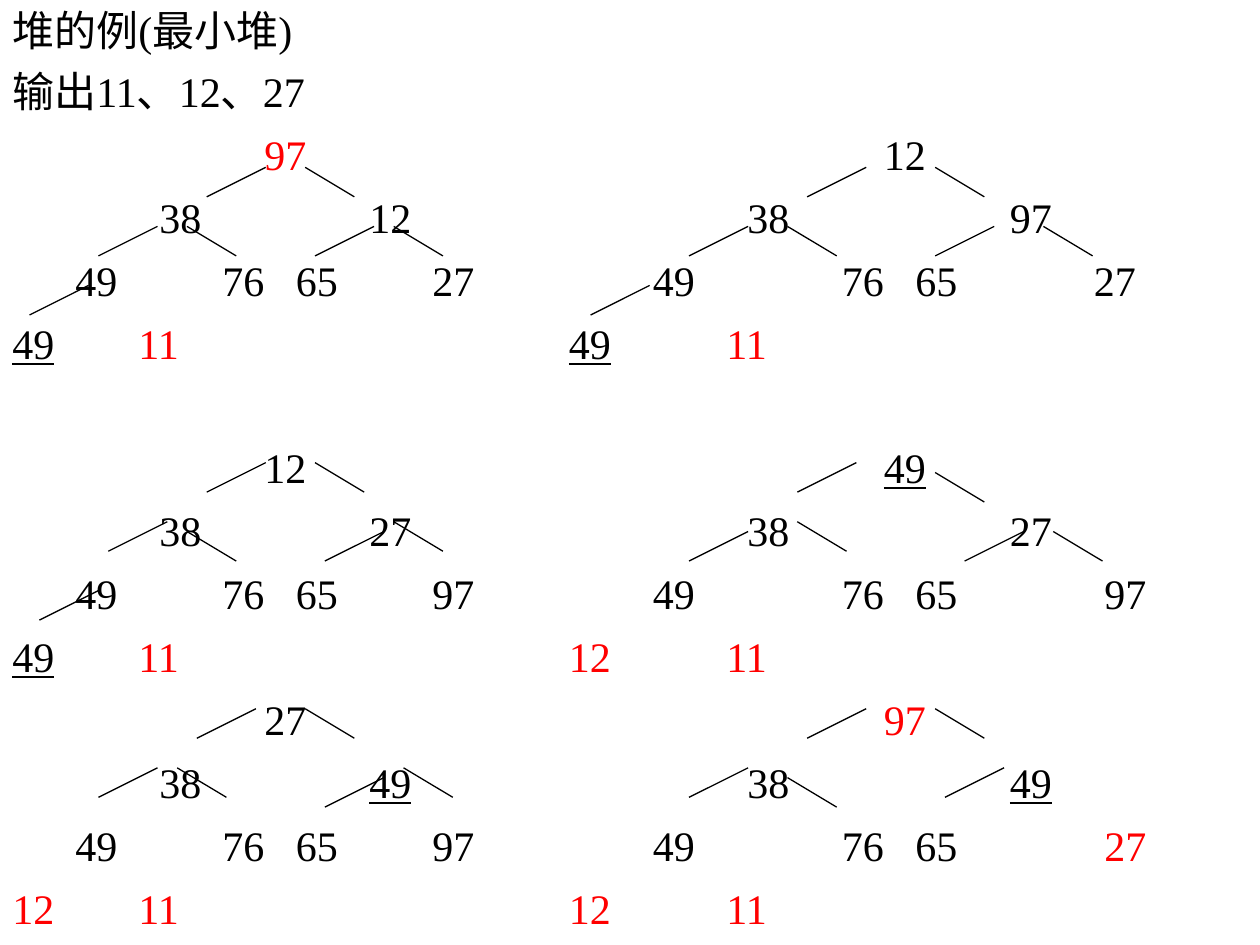
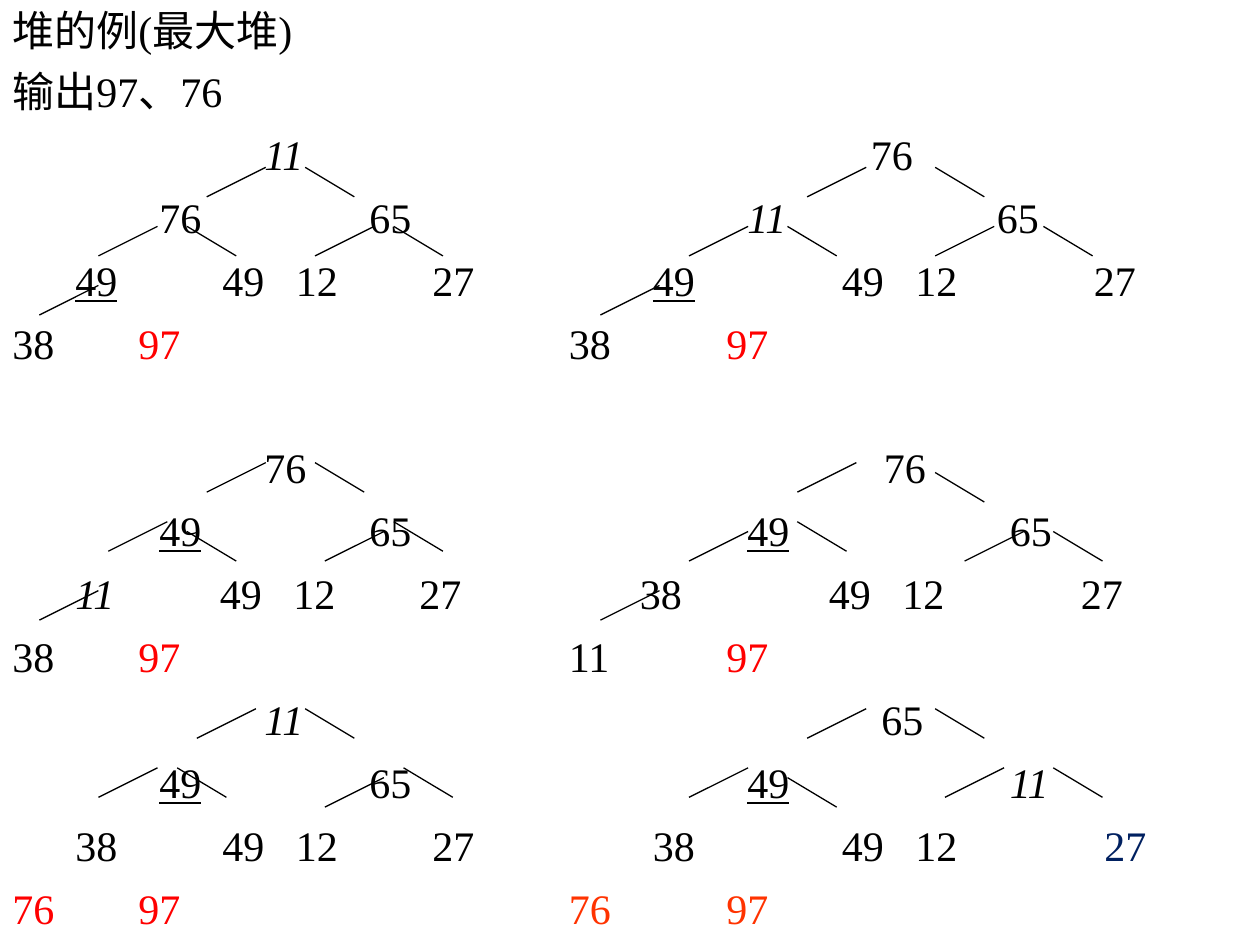
import pptx
import pptx.dml.color
import pptx.enum.shapes
import pptx.enum.text
import pptx.oxml.ns
import pptx.util
from lxml import etree

# A number may carry marks: _ underlined, / italic, ! red, ^ orange, ~ navy,
# and @column where it leaves the usual column of its level.
MARK_COLOURS = {"!": "FF0000", "^": "FF3300", "~": "002060"}
BLACK = "000000"

# Each heap row holds two heaps side by side, one string per level.
MIN_HEAPS = [
    ["97! 12", "38 12 38 97", "49 76 65 27 49 76 65 27@103", "49_ 11! 49_ 11!"],
    ["12 49_", "38 27 38 27", "49 76 65 97 49 76 65 97", "49_ 11! 12! 11!"],
    ["27 97!", "38 49_ 38 49_", "49 76 65 97 49 76 65 27!", "12! 11! 12! 11!"],
]
MAX_HEAPS = [
    ["11/ 76@81.75", "76 65 11/ 65@93.75", "49_ 49 12 27 49_ 49 12 27@103", "38 97! 38 97!"],
    ["76 76", "49_ 65 49_ 65",
     "11/ 49@19.75 12@26.75 27@38.75 38@59.75 49@77.75 12@84.75 27@101.75",
     "38 97! 11 97!"],
    ["11/ 65@82.75", "49_ 65 49_ 11/", "38 49 12 27 38 49 12 27~", "76! 97! 76^ 97^"],
]
LEVEL_COLUMNS = [(24, 83), (14, 34, 70, 95), (6, 20, 27, 40, 61, 79, 86, 104), (0, 12, 53, 68)]

# Upper ends of the branches, in steps of the branch grid.
LEFT_BRANCHES = [
    (27, 17), (16, 23), (38, 23), (88, 17), (76, 23), (101, 23),
    (27, 47), (17, 53), (39, 54), (10, 60), (87, 47), (76, 54), (104, 54),
    (26, 72), (16, 78), (39, 79), (88, 72), (76, 78), (102, 78),
]
RIGHT_BRANCHES = [
    (31, 17), (19, 23), (40, 23), (95, 17), (80, 23), (106, 23),
    (32, 47), (19, 54), (40, 53), (95, 48), (81, 53), (107, 54),
    (31, 72), (18, 78), (41, 78), (95, 72), (80, 79),
]
SLIDES = [
    {"title": "堆的例(最小堆)", "output": "输出11、12、27", "heaps": MIN_HEAPS,
     "left": [(9, 29), (66, 29)], "right": []},
    {"title": "堆的例(最大堆)", "output": "输出97、76", "heaps": MAX_HEAPS,
     "left": [(10, 29), (67, 29), (67, 60)], "right": [(107, 78)]},
]

FONT, SIZE = "Times New Roman", 24
COLUMN = 1 / 12          # half a digit wide
BRANCH_STEP = 5 / 64
LEFT_REACH, RIGHT_REACH, DROP = -6, 5, 3
ROW_GAP, BAND_GAP = 7.2, 42
TITLE_HEIGHT = 0.47


def inches(value):
    return pptx.util.Inches(value)


def colour(value):
    return pptx.dml.color.RGBColor.from_string(value)


def add_span(para, text, fill=BLACK, underline=False, italic=False):
    span = para.add_run()
    span.text = text
    font = span.font
    font.name, font.size = FONT, pptx.util.Pt(SIZE)
    font.underline, font.italic = underline, italic
    font.color.rgb = colour(fill)


def add_frame(page, top, width, height, anchor):
    box = page.shapes.add_textbox(0, inches(top), inches(width), inches(height))
    frame = box.text_frame
    frame.word_wrap = True
    frame.vertical_anchor = anchor
    return frame


def set_tabs(para, columns):
    properties = para._p.get_or_add_pPr()
    stops = etree.SubElement(properties, pptx.oxml.ns.qn("a:tabLst"))
    for column in columns:
        etree.SubElement(stops, pptx.oxml.ns.qn("a:tab"),
                         pos=str(int(inches(column * COLUMN))), algn="l")


def add_level(frame, numbers, columns, gap):
    """Write one level of both heaps as a line of tabbed numbers."""
    para = frame.add_paragraph()
    para.space_before = pptx.util.Pt(gap)
    stops = []
    for item, usual in zip(numbers.split(), columns):
        label, _, moved = item.partition("@")
        column = float(moved or usual)
        if column:
            stops.append(column)
            add_span(para, "\t")
        add_span(para, label[:2], fill=MARK_COLOURS.get(label[2:], BLACK),
                 underline="_" in label, italic="/" in label)
    set_tabs(para, stops)


def add_branch(page, start, reach):
    x, y = start
    ends = [inches(step * BRANCH_STEP) for step in (x, y, x + reach, y + DROP)]
    line = page.shapes.add_connector(pptx.enum.shapes.MSO_CONNECTOR.STRAIGHT, *ends)
    line.line.color.rgb = colour(BLACK)
    line.line.width = pptx.util.Pt(0.75)
    etree.SubElement(line._element.spPr, pptx.oxml.ns.qn("a:effectLst"))


def add_page(deck, content):
    page = deck.slides.add_slide(deck.slide_layouts[6])
    anchors = pptx.enum.text.MSO_ANCHOR
    title = add_frame(page, 0, 8.5, TITLE_HEIGHT, anchors.MIDDLE)
    add_span(title.paragraphs[0], content["title"])

    body = add_frame(page, TITLE_HEIGHT, 9.69, 7.5 - TITLE_HEIGHT, anchors.TOP)
    body.paragraphs[0].space_before = pptx.util.Pt(ROW_GAP)
    add_span(body.paragraphs[0], content["output"])
    for band, levels in enumerate(content["heaps"]):
        for level, numbers in enumerate(levels):
            gap = BAND_GAP if (band, level) == (1, 0) else ROW_GAP
            add_level(body, numbers, LEVEL_COLUMNS[level], gap)

    for start in LEFT_BRANCHES + content["left"]:
        add_branch(page, start, LEFT_REACH)
    for start in RIGHT_BRANCHES + content["right"]:
        add_branch(page, start, RIGHT_REACH)


def main():
    deck = pptx.Presentation()
    deck.slide_width, deck.slide_height = inches(10), inches(7.5)
    for content in SLIDES:
        add_page(deck, content)
    deck.save("out.pptx")


if __name__ == "__main__":
    main()
